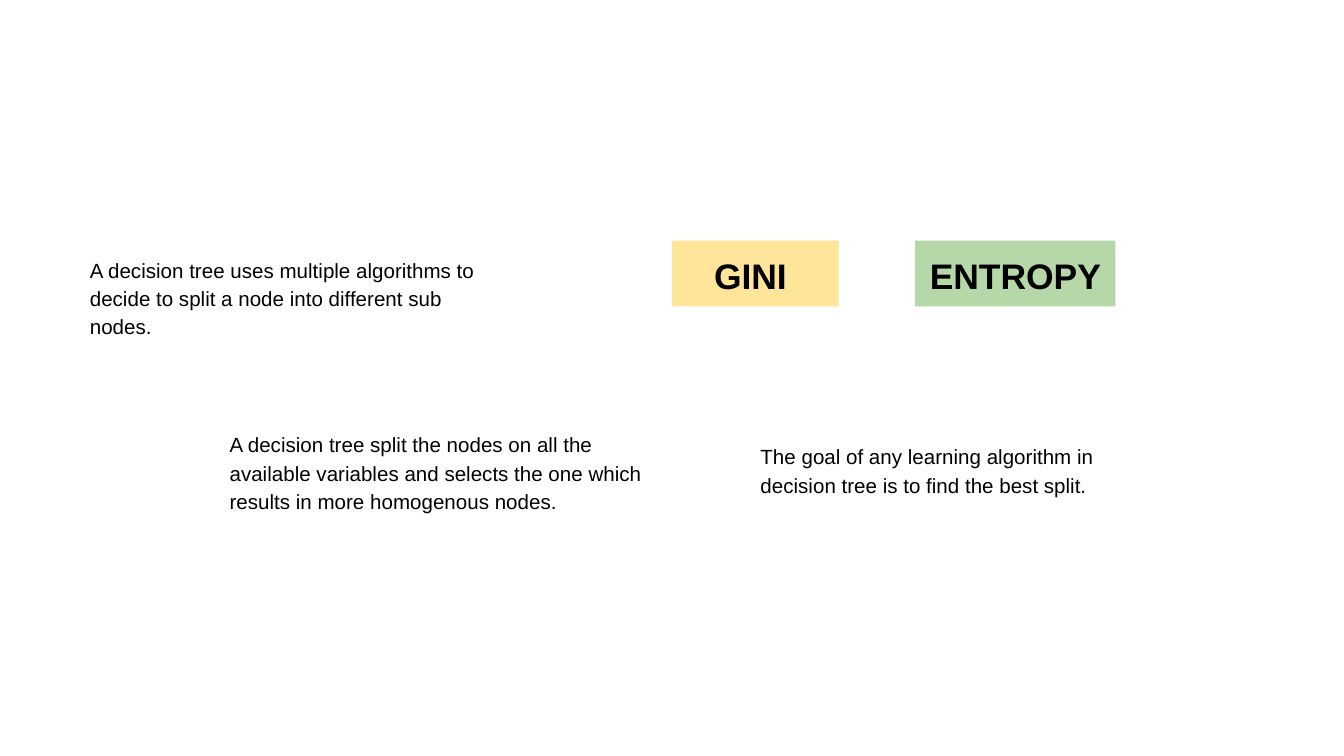
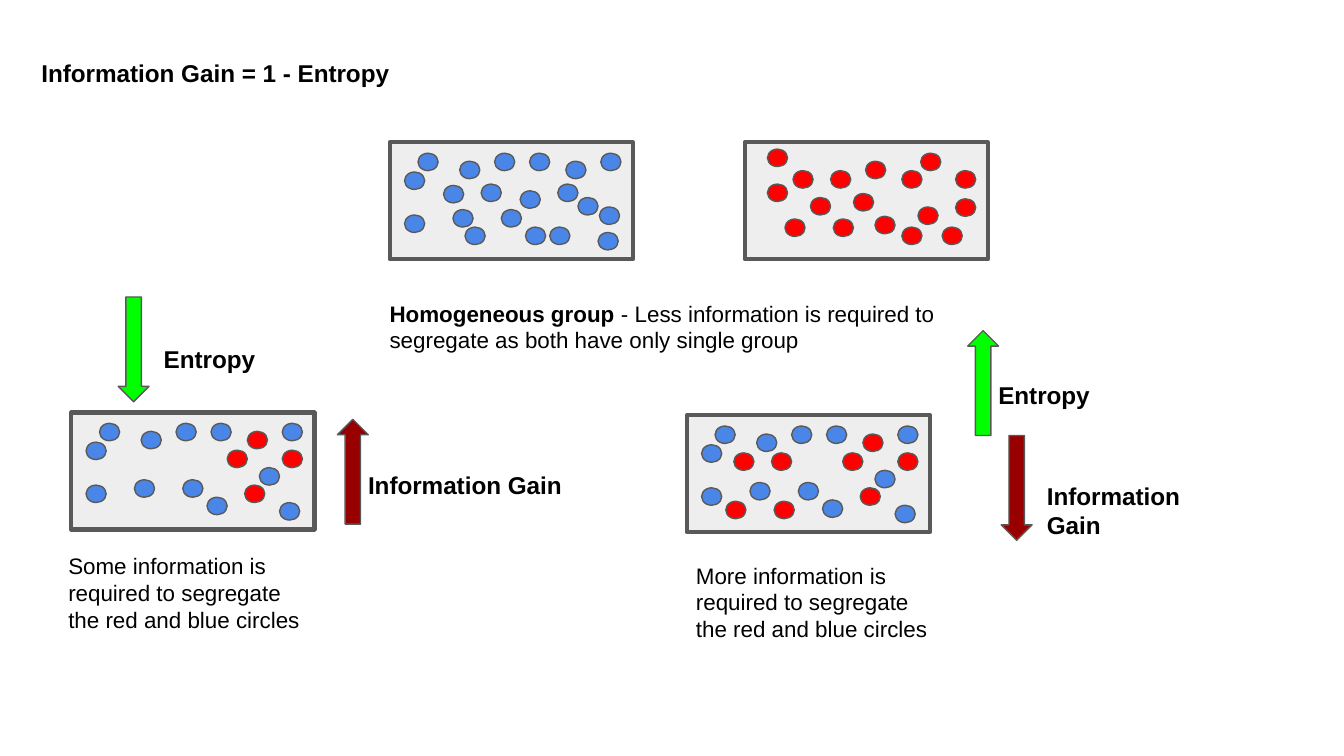
"""Build two slides on how a decision tree picks its splits."""
from dataclasses import dataclass

from pptx import Presentation
from pptx.dml.color import RGBColor
from pptx.enum.shapes import MSO_SHAPE
from pptx.enum.text import MSO_ANCHOR, PP_ALIGN
from pptx.util import Inches, Pt


@dataclass(frozen=True)
class Theme:
    font: str = "Arial"
    ink: str = "000000"
    gini: str = "FFE599"
    entropy: str = "B6D7A8"
    panel: str = "EEEEEE"
    outline: str = "595959"
    blue: str = "4A86E8"
    red: str = "FF0000"
    green: str = "00FF00"
    maroon: str = "980000"
    statement_size: int = 11
    caption_size: int = 12
    label_size: int = 13
    measure_size: int = 19
    thin: float = 0.75
    thick: float = 2.25


THEME = Theme()

STATEMENTS = [
    ("A decision tree uses multiple algorithms to decide to split a node "
     "into different sub nodes.", (0.57, 1.79, 3.28, 0.88)),
    ("The goal of any learning algorithm in decision tree is to find the best split.",
     (5.56, 3.18, 3.28, 0.79)),
    ("A decision tree split the nodes on all the available variables and selects "
     "the one which results in more homogenous nodes.", (1.61, 3.09, 3.28, 0.88)),
]
MEASURES = [
    ("GINI ", THEME.gini, (5, 1.79, 1.24, 0.49)),
    ("ENTROPY", THEME.entropy, (6.81, 1.79, 1.49, 0.49)),
]

PANEL_SIZE = (1.81, 0.87)
DOT_SIZE = (0.15, 0.13)
ARROW_SIZE = (0.23, 0.78)

COMMON_BLUE = [
    (1.4, 0.41), (0.52, 0.14), (0.11, 0.22), (0.78, 0.08), (0.47, 0.5), (0.11, 0.54),
    (0.83, 0.5), (1.57, 0.08), (0.21, 0.08), (1.55, 0.67), (1.01, 0.63), (1.04, 0.08),
]
EXTRA_BLUE = [
    (0.68, 0.31), (0.97, 0.36), (1.19, 0.63), (1.25, 0.31),
    (0.56, 0.63), (0.4, 0.32), (1.31, 0.14), (1.56, 0.48),
]
ALL_RED = [
    (1.17, 0.21), (0.64, 0.21), (1.29, 0.48), (0.66, 0.57), (0.36, 0.21), (1.31, 0.08),
    (0.3, 0.57), (1.57, 0.21), (0.81, 0.38), (0.97, 0.55), (1.17, 0.63), (0.17, 0.05),
    (1.57, 0.42), (0.49, 0.41), (0.17, 0.31), (1.47, 0.63), (0.9, 0.14),
]
FEW_RED = [(1.16, 0.28), (1.29, 0.54), (1.31, 0.14), (1.57, 0.28)]
MORE_RED = [(0.63, 0.28), (0.65, 0.64), (0.35, 0.28), (0.29, 0.64)]

GROUPS = [
    ((2.9, 1.06), COMMON_BLUE + EXTRA_BLUE, []),
    ((5.54, 1.06), [], ALL_RED),
    ((0.53, 3.07), COMMON_BLUE, FEW_RED),
    ((5.11, 3.09), COMMON_BLUE, FEW_RED + MORE_RED),
]
FORMULA = ("Information Gain = 1 - Entropy", (0.21, 0.33, 2.81, 0.58))
HOMOGENEOUS = (
    "Homogeneous group",
    " - Less information is required to segregate as both have only single group",
    (2.8, 2.13, 4.71, 0.6),
)
CAPTIONS = [
    (f"{amount} information is required to segregate the red and blue circles",
     (left, top, 2.04, 0.73))
    for amount, left, top in [("Some", 0.41, 4.01), ("More", 5.08, 4.08)]
]
TRENDS = [
    ("Entropy", (1.12, 2.46, 0.9, 0.32), (0.88, 2.21), THEME.green, "down"),
    ("Information Gain", (2.64, 3.4, 1.66, 0.32), (2.51, 3.12), THEME.maroon, "up"),
    ("Entropy", (7.33, 2.73, 0.96, 0.32), (7.2, 2.46), THEME.green, "up"),
    ("Information Gain", (7.69, 3.48, 1.58, 0.32), (7.45, 3.24), THEME.maroon, "down"),
]


def place(box):
    return [Inches(length) for length in box]


def write(shape, text, size, bold=False):
    frame = shape.text_frame
    frame.word_wrap = True
    frame.vertical_anchor = MSO_ANCHOR.TOP
    frame.margin_left = frame.margin_right = Inches(0.1)
    frame.margin_top = frame.margin_bottom = Inches(0.1)
    paragraph = frame.paragraphs[0]
    paragraph.add_run().text = text
    font = paragraph.font
    font.name, font.size, font.bold = THEME.font, Pt(size), bold
    font.color.rgb = RGBColor.from_string(THEME.ink)
    return paragraph


def add_text(slide, text, box, size, bold=False):
    return write(slide.shapes.add_textbox(*place(box)), text, size, bold)


def add_filled(slide, preset, box, fill, line_width=None):
    shape = slide.shapes.add_shape(preset, *place(box))
    shape.shadow.inherit = False
    shape.fill.solid()
    shape.fill.fore_color.rgb = RGBColor.from_string(fill)
    if line_width is None:
        shape.line.fill.background()
    else:
        shape.line.color.rgb = RGBColor.from_string(THEME.outline)
        shape.line.width = Pt(line_width)
    return shape


def add_group(slide, corner, blue_dots, red_dots):
    add_filled(slide, MSO_SHAPE.RECTANGLE, corner + PANEL_SIZE, THEME.panel, THEME.thick)
    left, top = corner
    for dots, color in [(blue_dots, THEME.blue), (red_dots, THEME.red)]:
        for across, down in dots:
            add_filled(slide, MSO_SHAPE.OVAL, (left + across, top + down) + DOT_SIZE,
                       color, THEME.thin)


def build_measures(slide):
    for text, box in STATEMENTS:
        add_text(slide, text, box, THEME.statement_size).line_spacing = 1.15
    for name, fill, box in MEASURES:
        measure = add_filled(slide, MSO_SHAPE.RECTANGLE, box, fill)
        write(measure, name, THEME.measure_size, bold=True).alignment = PP_ALIGN.CENTER


def build_information_gain(slide):
    add_text(slide, *FORMULA, THEME.label_size, bold=True)
    for group in GROUPS:
        add_group(slide, *group)
    term, explanation, box = HOMOGENEOUS
    definition = add_text(slide, term, box, THEME.caption_size)
    definition.runs[0].font.bold = True
    definition.add_run().text = explanation
    for text, box in CAPTIONS:
        add_text(slide, text, box, THEME.caption_size)
    for label, box, corner, color, direction in TRENDS:
        arrow = add_filled(slide, MSO_SHAPE.DOWN_ARROW, corner + ARROW_SIZE, color, THEME.thin)
        arrow.rotation = 180 if direction == "up" else 0
        add_text(slide, label, box, THEME.label_size, bold=True)


def main():
    deck = Presentation()
    deck.slide_width = Inches(10)
    deck.slide_height = Inches(10 * 9 / 16)
    blank = deck.slide_layouts[6]
    for build in (build_measures, build_information_gain):
        build(deck.slides.add_slide(blank))
    deck.save("out.pptx")


if __name__ == "__main__":
    main()
